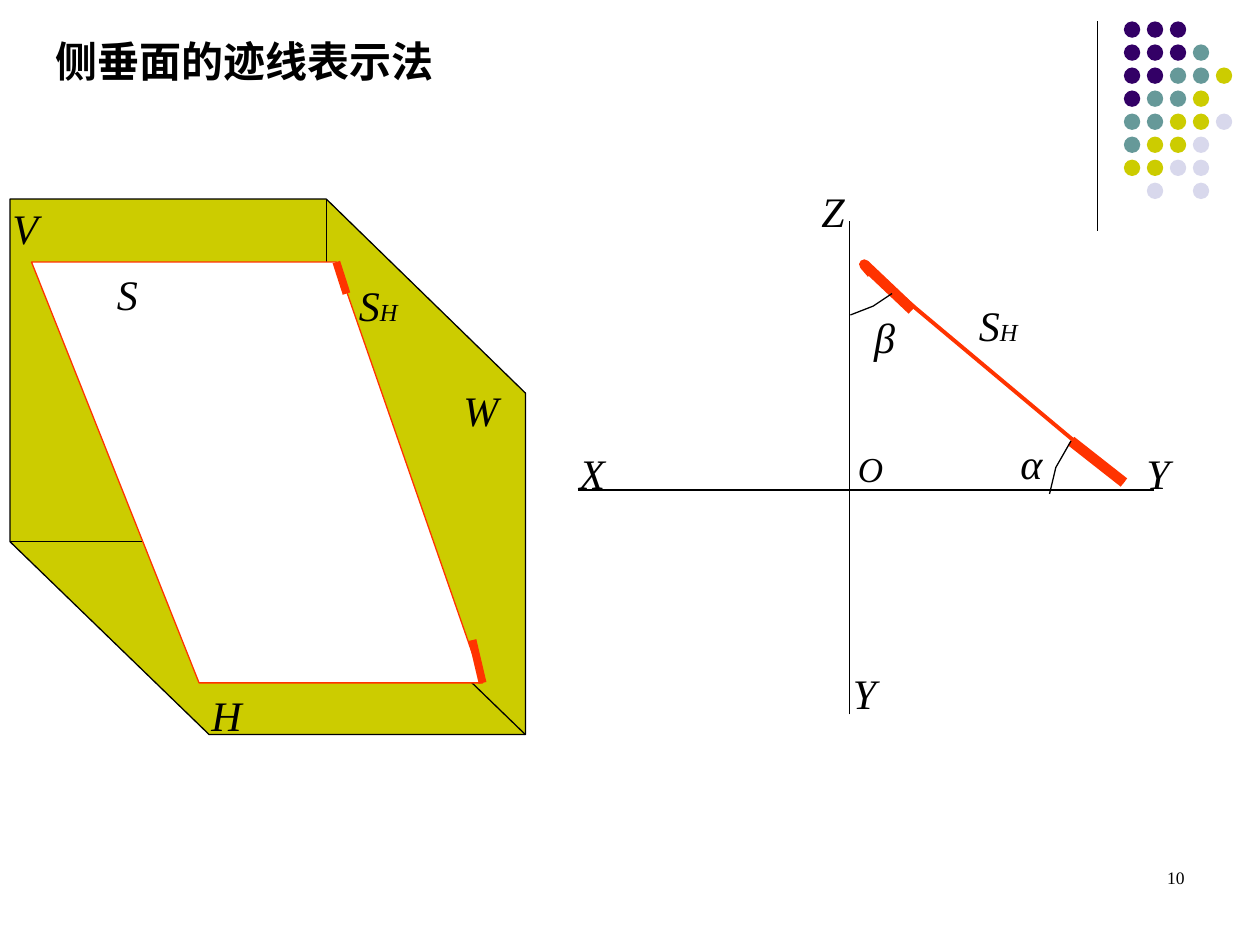
from lxml import etree
from pptx import Presentation
from pptx.dml.color import RGBColor
from pptx.enum.shapes import MSO_CONNECTOR, MSO_SHAPE
from pptx.enum.text import MSO_AUTO_SIZE, PP_ALIGN
from pptx.oxml.ns import qn
from pptx.util import Inches, Pt

THEME = {
    "ink": "000000", "trace": "FF3300", "face": "CCCC00", "paper": "FFFFFF",
    "thin": 0.75, "trace_line": 2.25, "edge_mark": 4.5, "trace_mark": 6,
    "label": 24, "origin": 20, "subscript": 14, "number": 10,
    "serif": "Times New Roman", "sans": "Arial",
}

# Corner dots: one letter per dot, a dot for a gap
DOT_COLOURS = {"p": "330066", "t": "669999", "y": "CCCC00", "l": "D8D8EC"}
DOT_ROWS = ["ppp", "pppt", "pptty", "ptty", "ttyyl", "tyyl", "yyll", ".l.l"]
DOT_LEFT, DOT_TOP, DOT_SIZE = 8.92, 0.17, 0.13
DOT_STEP_X, DOT_STEP_Y = 0.73 / 4, 1.28 / 7

# Outlines: points, closed, fill, line colour, line width
BOX_OUTLINE = [([(0.08, 1.58), (0.08, 4.3), (1.66, 5.83), (4.17, 5.83),
                 (4.17, 3.12), (2.59, 1.58)], True, "face", "ink", "thin")]
PLANE_OUTLINE = [([(2.67, 2.08), (3.83, 5.42), (1.58, 5.42), (0.25, 2.08)],
                  True, "paper", "trace", "thin")]
TRACE_OUTLINES = [
    ([(8.5, 3.5), (8.92, 3.83)], False, None, "trace", "trace_mark"),
    ([(6.92, 2.17), (6.86, 2.1), (7.24, 2.46)], False, None, "trace", "trace_mark"),
    ([(6.75, 2.5), (6.93, 2.43), (7.08, 2.33)], False, None, "ink", "thin"),
    ([(8.5, 3.5), (8.38, 3.71), (8.33, 3.92)], False, None, "ink", "thin"),
]

# Straight lines: start, end, colour, width
CORNER_RULE = [((8.71, 0.17), (8.71, 1.83), "ink", "thin")]
BOX_INNER = (2.59, 4.3)
BOX_EDGES = [(end, BOX_INNER, "ink", "thin")
             for end in [(0.08, 4.3), (4.17, 5.83), (2.59, 1.58)]]
PLANE_MARKS = [((2.67, 2.08), (2.75, 2.33), "trace", "edge_mark"),
               ((3.75, 5.08), (3.83, 5.42), "trace", "edge_mark")]
AXES_AND_TRACE = [
    ((6.74, 5.67), (6.74, 1.75), "ink", "thin"),
    ((9.16, 3.89), (4.59, 3.89), "ink", "thin"),
    ((8.92, 3.83), (6.83, 2.08), "trace", "trace_line"),
]

# Labels: text, subscript, left, top, width, height, size, wrap
LABELS = [
    ("V", "", 0, 1.56, 0.52, 0.5, "label", True),
    ("W", "", 3.58, 3, 0.83, 0.5, "label", True),
    ("H", "", 1.58, 5.42, 0.58, 0.5, "label", True),
    ("S", "H", 2.75, 2.17, 0.67, 0.5, "label", True),
    ("S", "", 0.83, 2.08, 0.67, 0.5, "label", True),
    ("Z", "", 6.42, 1.42, 1.15, 0.5, "label", True),
    ("X", "", 4.5, 3.5, 0.5, 0.5, "label", True),
    ("O", "", 6.71, 3.5, 0.37, 0.44, "origin", True),
    ("Y", "", 6.67, 5.25, 0.86, 0.5, "label", True),
    ("S", "H", 7.67, 2.33, 1.08, 0.5, "label", True),
    ("Y", "", 9, 3.5, 0.42, 0.5, "label", True),
    ("α", "", 8, 3.42, 0.37, 0.5, "label", False),
    ("β", "", 6.84, 2.42, 0.36, 0.5, "label", False),
]
TITLE = ("侧垂面的迹线表示法", 0.34, 0.23, 3.2, 0.5)
SLIDE_NUMBER = ("10", 7.17, 6.83, 2.33, 0.5)


def colour(name):
    return RGBColor.from_string(THEME.get(name, name))


def style_line(line, name, width):
    line.color.rgb = colour(name)
    line.width = Pt(THEME[width])


def add_dots(slide):
    for row, dots in enumerate(DOT_ROWS):
        for column, key in enumerate(dots):
            if key not in DOT_COLOURS:
                continue
            dot = slide.shapes.add_shape(
                MSO_SHAPE.OVAL, Inches(DOT_LEFT + column * DOT_STEP_X),
                Inches(DOT_TOP + row * DOT_STEP_Y), Inches(DOT_SIZE), Inches(DOT_SIZE))
            dot.shadow.inherit = False
            dot.fill.solid()
            dot.fill.fore_color.rgb = colour(DOT_COLOURS[key])
            dot.line.fill.background()


def add_lines(slide, lines):
    for start, end, name, width in lines:
        edge = slide.shapes.add_connector(
            MSO_CONNECTOR.STRAIGHT, *[Inches(value) for value in start + end])
        style_line(edge.line, name, width)
        etree.SubElement(edge._element.spPr, qn("a:effectLst"))


def add_outlines(slide, outlines):
    for points, closed, fill, name, width in outlines:
        start, *rest = [(Inches(x), Inches(y)) for x, y in points]
        builder = slide.shapes.build_freeform(*start)
        builder.add_line_segments(rest, close=closed)
        outline = builder.convert_to_shape()
        outline.shadow.inherit = False
        if fill:
            outline.fill.solid()
            outline.fill.fore_color.rgb = colour(fill)
        else:
            outline.fill.background()
        style_line(outline.line, name, width)


def add_text(slide, runs, box, wrap=True, align=PP_ALIGN.LEFT,
             auto_size=MSO_AUTO_SIZE.SHAPE_TO_FIT_TEXT):
    frame = slide.shapes.add_textbox(*[Inches(value) for value in box]).text_frame
    frame.word_wrap = wrap
    frame.auto_size = auto_size
    paragraph = frame.paragraphs[0]
    paragraph.alignment = align
    for text, size, formats in runs:
        run = paragraph.add_run()
        run.text = text
        run.font.color.rgb = colour("ink")
        for attribute, value in {"size": Pt(THEME[size]), **formats}.items():
            setattr(run.font, attribute, value)


def main():
    deck = Presentation()
    deck.slide_width, deck.slide_height = Inches(10), Inches(7.5)
    slide = deck.slides.add_slide(deck.slide_layouts[6])

    # Corner decoration
    add_lines(slide, CORNER_RULE)
    add_dots(slide)

    # Projection box with the inclined plane
    add_outlines(slide, BOX_OUTLINE)
    add_lines(slide, BOX_EDGES)
    add_outlines(slide, PLANE_OUTLINE)
    add_lines(slide, PLANE_MARKS)

    # Axes, trace and angle arcs
    add_lines(slide, AXES_AND_TRACE)
    add_outlines(slide, TRACE_OUTLINES)

    # Labels
    italic = {"name": THEME["serif"], "italic": True}
    for text, subscript, *box, size, wrap in LABELS:
        runs = [(text, size, italic)]
        if subscript:
            runs.append((subscript, "subscript", italic))
        add_text(slide, runs, box, wrap)

    # Title and slide number
    title, *title_box = TITLE
    add_text(slide, [(title, "label", {"name": THEME["sans"], "bold": True})],
             title_box, wrap=False)
    number, *number_box = SLIDE_NUMBER
    add_text(slide, [(number, "number", {"name": THEME["serif"]})], number_box,
             align=PP_ALIGN.RIGHT, auto_size=MSO_AUTO_SIZE.NONE)

    deck.save("out.pptx")


if __name__ == "__main__":
    main()
